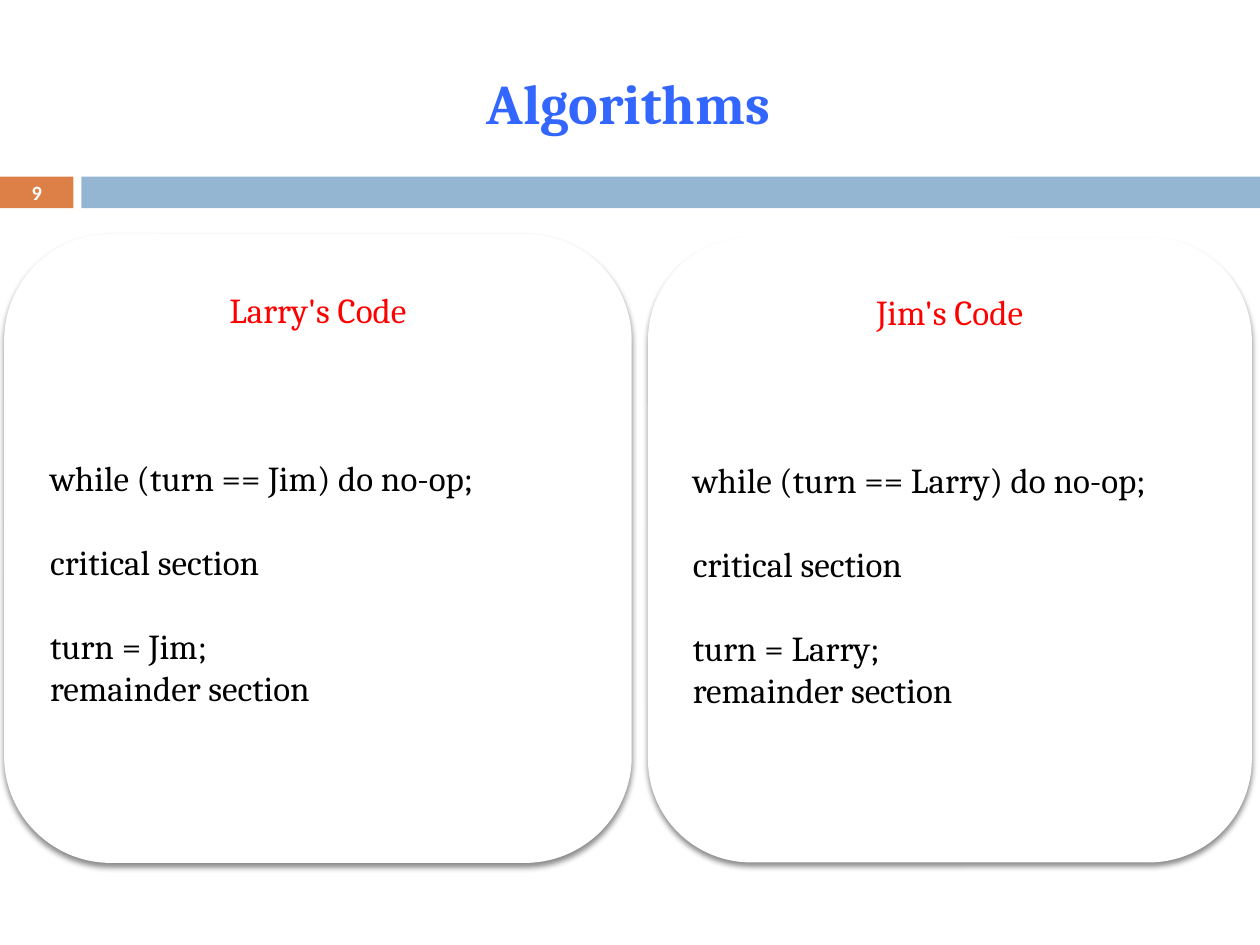
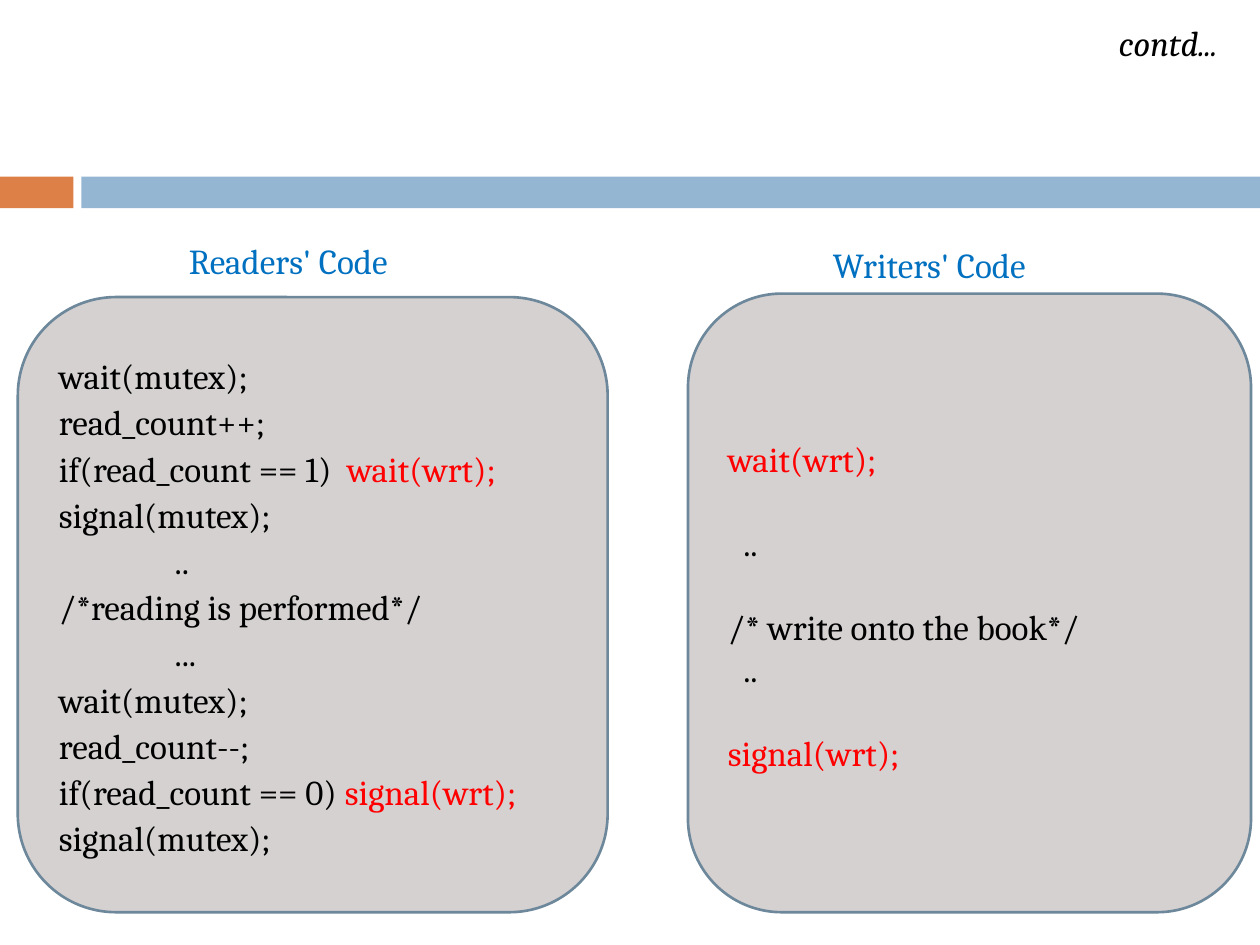
from lxml import etree
from pptx import Presentation
from pptx.dml.color import RGBColor
from pptx.enum.shapes import MSO_SHAPE as Preset
from pptx.enum.text import MSO_ANCHOR as Anchor, PP_ALIGN as Align
from pptx.oxml.ns import qn
from pptx.util import Cm, Pt

COLORS = {
    "orange": "DD8047", "band": "94B6D2", "white": "FFFFFF", "black": "000000",
    "title": "3366FF", "heading": "0070C0", "red": "FF0000",
    "panel": "D5D1D1", "outline": "6D879B",
}
BAND_TOP, BAND_HEIGHT = 3.56, 0.64
BLANK_LINE = 24  # height of one line of 20 pt text, in points


class Deck:
    """Holds the style and the current slide; lengths are in centimetres."""

    def __init__(self):
        self.presentation = Presentation()
        self.presentation.slide_width = Cm(25.4)
        self.presentation.slide_height = Cm(19.05)
        self.slide = None

    def color(self, name):
        return RGBColor.from_string(COLORS[name])

    def new_slide(self):
        layout = self.presentation.slide_layouts[6]
        self.slide = self.presentation.slides.add_slide(layout)
        self.shape(Preset.RECTANGLE, 0, BAND_TOP, 1.48, BAND_HEIGHT, "orange")
        self.shape(Preset.RECTANGLE, 1.64, BAND_TOP, 23.76, BAND_HEIGHT, "band")

    def shape(self, preset, left, top, width, height, fill, line=None, weight=0):
        shape = self.slide.shapes.add_shape(preset, Cm(left), Cm(top), Cm(width), Cm(height))
        shape.shadow.inherit = False
        shape.fill.solid()
        shape.fill.fore_color.rgb = self.color(fill)
        if line:
            shape.line.color.rgb = self.color(line)
            shape.line.width = Pt(weight)
        else:
            shape.line.fill.background()
        return shape

    def drop_shadow(self, shape):
        effects = shape._element.spPr.find(qn("a:effectLst"))
        shadow = etree.SubElement(effects, qn("a:outerShdw"), blurRad=str(Pt(3)),
                                  dist=str(Pt(2.4)), dir="5400000", rotWithShape="0")
        tint = etree.SubElement(shadow, qn("a:srgbClr"), val=COLORS["black"])
        etree.SubElement(tint, qn("a:alpha"), val="45000")

    def paragraph(self, frame, runs, first, color="black", size=20, font="Cambria",
                  bold=False, italic=False, align=Align.LEFT, blanks=0, spacing=None):
        """Runs is a text, or a list of (text, colour) pairs."""
        paragraph = frame.paragraphs[0] if first else frame.add_paragraph()
        paragraph.alignment = align
        if blanks:
            paragraph.space_before = Pt(blanks * BLANK_LINE)
        if spacing:
            paragraph.line_spacing = spacing
        style = paragraph.font
        style.name, style.size, style.bold, style.italic = font, Pt(size), bold, italic
        if isinstance(runs, str):
            style.color.rgb = self.color(color)
            paragraph.add_run().text = runs
            return
        for text, run_color in runs:
            run = paragraph.add_run()
            run.text = text
            run.font.color.rgb = self.color(run_color)

    def text(self, text, left, top, width, height, anchor=Anchor.MIDDLE, **style):
        box = self.slide.shapes.add_textbox(Cm(left), Cm(top), Cm(width), Cm(height))
        box.text_frame.word_wrap = True
        box.text_frame.vertical_anchor = anchor
        self.paragraph(box.text_frame, text, True, **style)

    def panel(self, place, lines, fill, line, weight, top_inset=None, shadow=False, spacing=None):
        """Lines is a list of (runs, style) pairs; a top inset anchors them at the top."""
        shape = self.shape(Preset.ROUNDED_RECTANGLE, *place, fill, line, weight)
        if shadow:
            self.drop_shadow(shape)
        frame = shape.text_frame
        frame.word_wrap = True
        frame.vertical_anchor = Anchor.MIDDLE
        if top_inset:
            frame.vertical_anchor = Anchor.TOP
            frame.margin_top = Cm(top_inset)
        for index, (runs, style) in enumerate(lines):
            self.paragraph(frame, runs, index == 0, spacing=spacing, **style)


def algorithms_slide(deck):
    deck.new_slide()
    deck.text("9", 0, 3.53, 1.48, 0.69, color="white", size=11.6, font="Calibri",
              bold=True, align=Align.CENTER)

    # One code panel for each person, who waits for the other
    for owner, other, place in (
        ("Jim", "Larry", (13.13, 4.85, 12.04, 12.47)),
        ("Larry", "Jim", (0.15, 4.78, 12.52, 12.55)),
    ):
        lines = [
            (f"{owner}'s Code", {"color": "red", "align": Align.CENTER}),
            (f"while (turn == {other}) do no-op;", {"blanks": 3}),
            ("critical section", {"blanks": 1}),
            (f"turn = {other};", {"blanks": 1}),
            ("remainder section", {}),
        ]
        deck.panel(place, lines, "white", "white", 3.75, top_inset=0.42, shadow=True)

    deck.text("Algorithms", 0.58, 1.07, 24.18, 1.96, color="title", size=32,
              bold=True, align=Align.CENTER)


def readers_writers_slide(deck):
    deck.new_slide()
    deck.text("contd...", 22.3, 0.2, 3.1, 1.3, italic=True)

    # Readers
    readers = [
        "wait(mutex);",
        "read_count++;",
        [("if(read_count == 1)  ", "black"), ("wait(wrt);", "red")],
        "signal(mutex);",
        "               ..",
        "/*reading is performed*/",
        "               ...",
        "wait(mutex);",
        "read_count--;",
        [("if(read_count == 0) ", "black"), ("signal(wrt);", "red")],
        "signal(mutex);",
    ]
    deck.panel((0.36, 5.99, 11.89, 12.4), [(line, {}) for line in readers],
               "panel", "outline", 1.5, spacing=1.1)
    deck.text("Readers' Code", 3.56, 4.7, 5.82, 1.12, Anchor.TOP, color="heading")

    # Writers
    writers = [
        ("wait(wrt);", {"color": "red"}),
        ("  ..", {"blanks": 1}),
        ("/* write onto the book*/", {"blanks": 1}),
        ("  ..", {}),
        ("signal(wrt);", {"color": "red", "blanks": 1}),
    ]
    deck.panel((13.87, 5.92, 11.35, 12.47), writers, "panel", "outline", 1.5, top_inset=2.34)
    deck.text("Writers' Code", 16.54, 4.78, 5.82, 1.12, Anchor.TOP, color="heading")


def main():
    deck = Deck()
    algorithms_slide(deck)
    readers_writers_slide(deck)
    deck.presentation.save("out.pptx")


if __name__ == "__main__":
    main()
